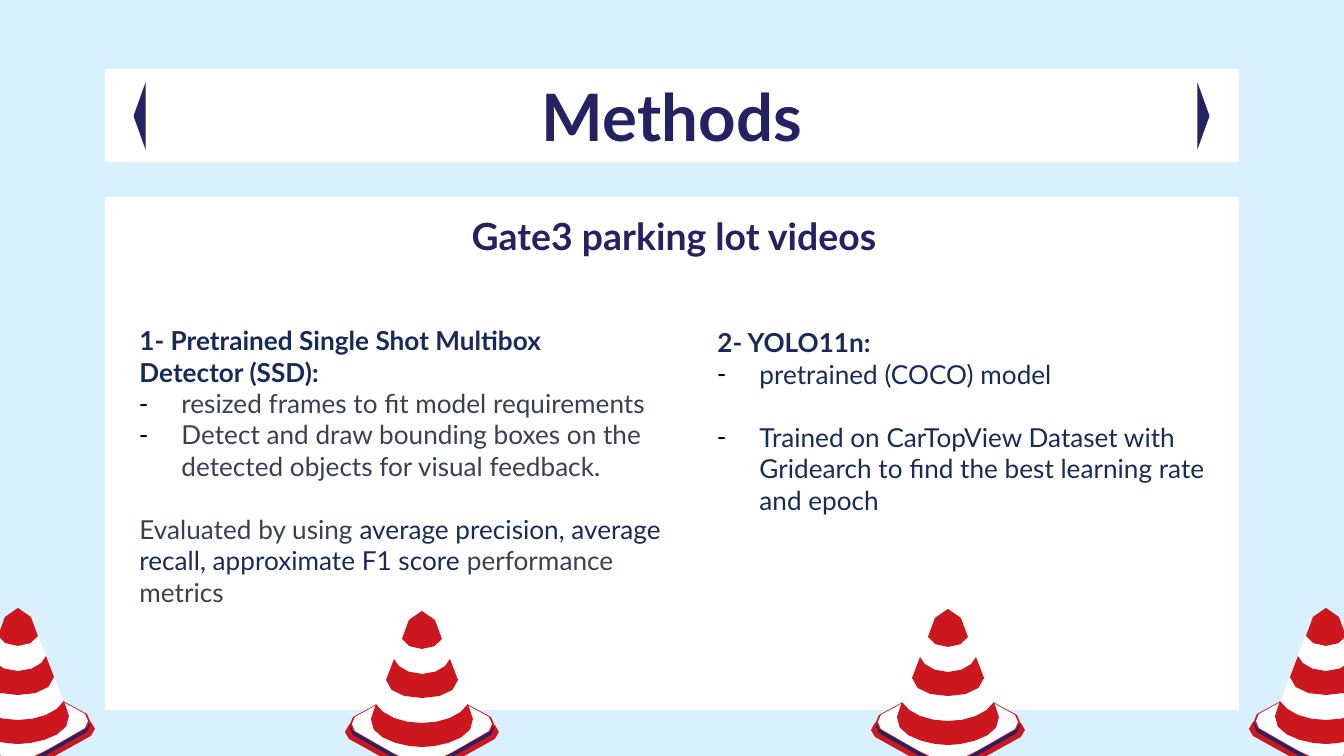
from dataclasses import dataclass
from math import hypot
from lxml.etree import SubElement
from pptx import Presentation
from pptx.dml.color import RGBColor
from pptx.enum.shapes import MSO_SHAPE as Preset
from pptx.enum.text import MSO_ANCHOR as Anchor, MSO_AUTO_SIZE as AutoSize, PP_ALIGN as Align
from pptx.oxml.ns import qn
from pptx.util import Emu, Pt

EMU_PER_PX = 914400 / 134.4
CURVE_STEP = 12
BULLET_INDENT = 42
LINE_GAP = 17
FONT = "Lato"
COLORS = {
    "sky": "D9F0FF",
    "white": "FFFFFF",
    "indigo": "262162",
    "red": "CC171F",
    "navy": "172A59",
    "slate": "374151",
    "black": "000000",
}


@dataclass(frozen=True)
class Box:
    left: int
    top: int
    width: int
    height: int


@dataclass(frozen=True)
class Line:
    runs: tuple[tuple[str, str], ...]
    bold: bool = False
    bullet: bool = False
    gap: int = 0


@dataclass(frozen=True)
class ConePart:
    color: str
    right_side: tuple[tuple[int, ...], ...]
    drop: int = 0


@dataclass(frozen=True)
class Cone:
    center: int
    top: int


RIM = ((0, 75), (3, 75, 5, 75, 8, 77), (69, 110), (71, 112, 72, 114, 72, 117),
       (72, 120, 71, 122, 69, 124), (7, 159), (4, 161, 2, 161, 0, 161))
TIP = ((0, 0), (6, 0, 11, 3, 13, 9))

CONE_PARTS = (
    ConePart("red", ((0, 75), (3, 75, 5, 75, 8, 77), (73, 114), (75, 116, 77, 118, 77, 121),
                     (77, 124, 75, 126, 73, 128), (8, 164), (5, 166, 3, 166, 0, 166))),
    ConePart("indigo", RIM),
    ConePart("red", RIM, drop=-4),
    ConePart("white", ((0, 71), (3, 71, 5, 72, 7, 73), (67, 106), (69, 107, 70, 110, 70, 113),
                       (70, 115, 69, 117, 67, 120), (37, 137, 15, 152, 0, 152))),
    ConePart("white", TIP + ((49, 102), (50, 107), (50, 123, 28, 136, 0, 136))),
    ConePart("red", ((0, 112), (20, 112, 39, 105, 46, 93), (51, 108),
                     (53, 128, 18, 136, 0, 136))),
    ConePart("red", ((0, 63), (15, 63, 26, 55, 28, 48), (36, 69), (35, 81, 19, 87, 0, 87))),
    ConePart("red", TIP + ((20, 28), (18, 34, 9, 38, 0, 38))),
)
CONES = (Cone(422, 611), Cone(948, 609), Cone(18, 608), Cone(1326, 608))

SSD_LINES = (
    Line((("1- Pretrained Single Shot Multibox", "navy"),), bold=True),
    Line((("Detector (SSD):", "navy"),), bold=True),
    Line((("resized frames to fit model requirements", "slate"),), bullet=True),
    Line((("Detect and draw bounding boxes on the detected objects for visual feedback.", "slate"),),
         bullet=True),
    Line((("Evaluated by using ", "slate"),
          ("average precision, average recall, approximate F1 score ", "navy"),
          ("performance metrics", "slate")), gap=LINE_GAP),
)
YOLO_LINES = (
    Line((("2- YOLO11n:", "navy"),), bold=True),
    Line((("pretrained (COCO) model", "navy"),), bullet=True),
    Line((("Trained on CarTopView Dataset with Gridearch to find the best learning rate and epoch",
           "navy"),), bullet=True, gap=LINE_GAP),
)


def px(length: float) -> Emu:
    return Emu(round(length * EMU_PER_PX))


def rgb(color: str) -> RGBColor:
    return RGBColor.from_string(COLORS[color])


def place(shape, box: Box) -> None:
    shape.left, shape.top = px(box.left), px(box.top)
    shape.width, shape.height = px(box.width), px(box.height)


def paint(shape, color: str) -> None:
    shape.shadow.inherit = False
    shape.fill.solid()
    shape.fill.fore_color.rgb = rgb(color)
    shape.line.fill.background()


def draw_preset(shapes, preset: Preset, box: Box, color: str, rotation: int = 0):
    shape = shapes.add_shape(preset, px(box.left), px(box.top), px(box.width), px(box.height))
    paint(shape, color)
    shape.rotation = rotation
    return shape


def trace(side: tuple[tuple[int, ...], ...]) -> list[tuple[float, float]]:
    points = [side[0]]
    for step in side[1:]:
        if len(step) == 2:
            points.append(step)
            continue
        x0, y0 = points[-1]
        x1, y1, x2, y2, x3, y3 = step
        count = max(1, round(hypot(x3 - x0, y3 - y0) / CURVE_STEP))
        for i in range(1, count + 1):
            t = i / count
            a, b, c, d = (1 - t) ** 3, 3 * t * (1 - t) ** 2, 3 * t * t * (1 - t), t ** 3
            points.append((a * x0 + b * x1 + c * x2 + d * x3, a * y0 + b * y1 + c * y2 + d * y3))
    return points


def draw_cone(shapes, cone: Cone) -> None:
    group = shapes.add_group_shape()
    for part in CONE_PARTS:
        right = trace(part.right_side)
        outline = right + [(-x, y) for x, y in reversed(right[1:-1])]
        corners = [(px(cone.center + x), px(cone.top + part.drop + y)) for x, y in outline]
        builder = group.shapes.build_freeform(*corners[0])
        builder.add_line_segments(corners[1:], close=True)
        paint(builder.convert_to_shape(), part.color)


def style(paragraph, size: int, color: str, bold: bool) -> None:
    paragraph.font.name = FONT
    paragraph.font.size = Pt(size)
    paragraph.font.bold = bold
    paragraph.font.color.rgb = rgb(color)


def write_heading(shape, text: str, size: int, anchor: Anchor) -> None:
    frame = shape.text_frame
    frame.word_wrap = True
    frame.auto_size = AutoSize.NONE
    frame.vertical_anchor = anchor
    frame.margin_left = frame.margin_right = frame.margin_top = frame.margin_bottom = px(13)
    paragraph = frame.paragraphs[0]
    paragraph.text = text
    paragraph.alignment = Align.CENTER
    style(paragraph, size, "indigo", True)


def set_bullet(paragraph, bullet: bool) -> None:
    properties = paragraph._p.get_or_add_pPr()
    indent = px(BULLET_INDENT) if bullet else 0
    properties.set("marL", str(indent))
    properties.set("indent", str(-indent))
    if bullet:
        bullet_color = SubElement(properties, qn("a:buClr"))
        SubElement(bullet_color, qn("a:srgbClr"), val=COLORS["black"])
        SubElement(properties, qn("a:buChar"), char="-")
    else:
        SubElement(properties, qn("a:buNone"))


def write_method(body, box: Box, lines: tuple[Line, ...]) -> None:
    place(body, box)
    body.element.getparent().append(body.element)
    frame = body.text_frame
    frame.word_wrap = True
    frame.auto_size = AutoSize.SHAPE_TO_FIT_TEXT
    for index, line in enumerate(lines):
        paragraph = frame.add_paragraph() if index else frame.paragraphs[0]
        set_bullet(paragraph, line.bullet)
        paragraph.space_before = Pt(line.gap)
        base_color = line.runs[0][1]
        style(paragraph, 14, base_color, line.bold)
        for text, color in line.runs:
            run = paragraph.add_run()
            run.text = text
            if color != base_color:
                run.font.color.rgb = rgb(color)


def main() -> None:
    deck = Presentation()
    deck.slide_width, deck.slide_height = px(1344), px(756)
    slide = deck.slides.add_slide(deck.slide_layouts[3])
    shapes = slide.shapes
    slide.background.fill.solid()
    slide.background.fill.fore_color.rgb = rgb("sky")

    panel = draw_preset(shapes, Preset.RECTANGLE, Box(105, 197, 1134, 513), "white")
    panel.element.getparent().insert(2, panel.element)

    title = shapes.title
    place(title, Box(105, 69, 1134, 93))
    title.fill.solid()
    title.fill.fore_color.rgb = rgb("white")
    write_heading(title, "Methods", 35, Anchor.MIDDLE)
    for left, rotation in ((1170, 90), (106, 270)):
        draw_preset(shapes, Preset.ISOSCELES_TRIANGLE, Box(left, 110, 67, 12), "indigo", rotation)

    for cone in CONES:
        draw_cone(shapes, cone)

    topic = shapes.add_textbox(px(422), px(206), px(504), px(65))
    write_heading(topic, "Gate3 parking lot videos", 20, Anchor.BOTTOM)
    write_method(slide.placeholders[1], Box(126, 318, 577, 298), SSD_LINES)
    write_method(slide.placeholders[2], Box(704, 320, 526, 203), YOLO_LINES)
    deck.save("out.pptx")


if __name__ == "__main__":
    main()
